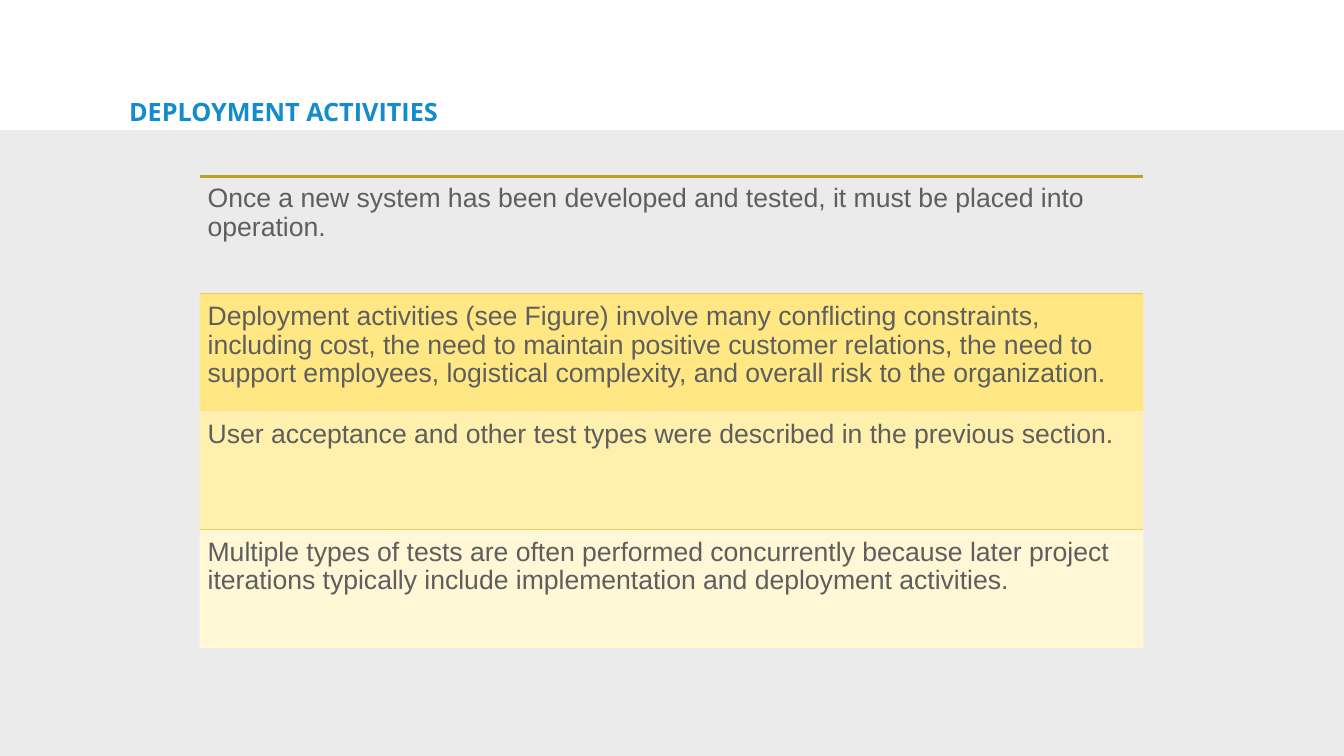
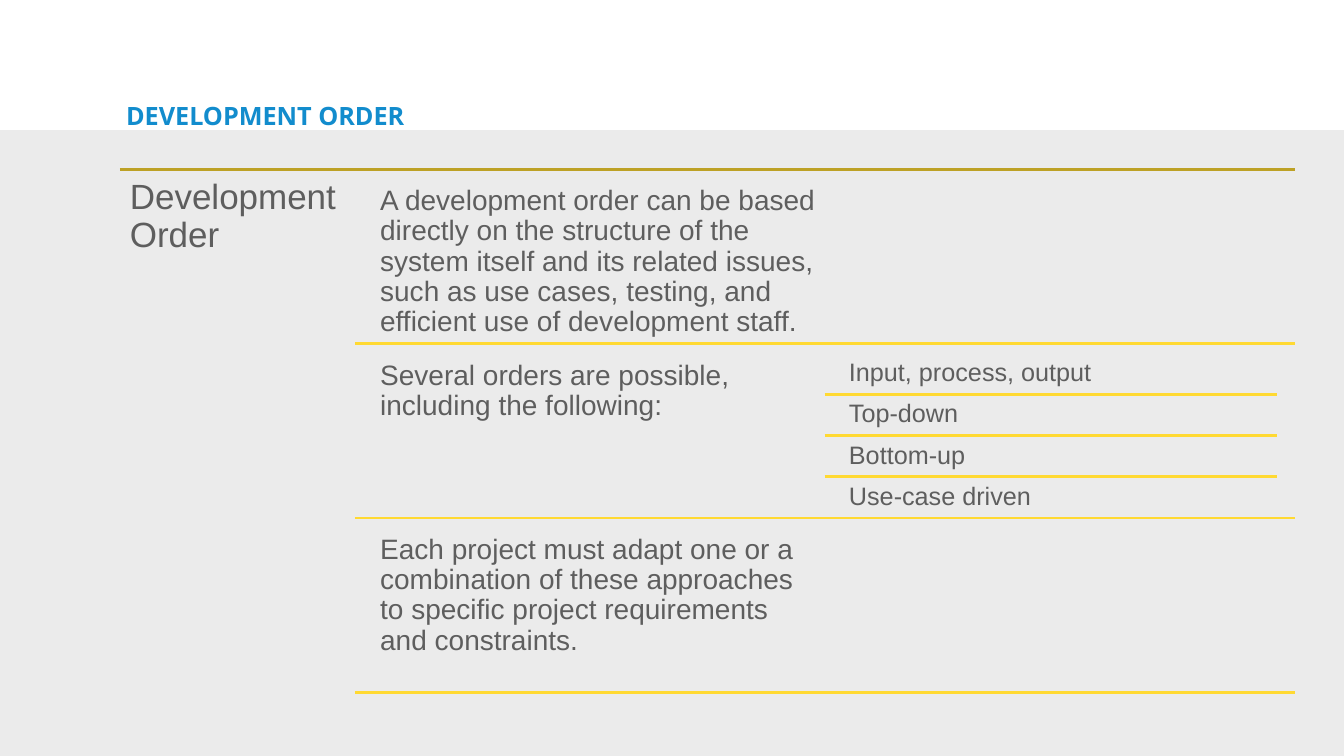
import pptx
import pptx.util
import pptx.dml.color
import pptx.enum.shapes
import pptx.enum.text
import pptx.oxml

Inches = pptx.util.Inches
Pt = pptx.util.Pt
RGBColor = pptx.dml.color.RGBColor

BLUE = RGBColor(0x12, 0x8C, 0xCD)
PALE = RGBColor(0xEB, 0xEB, 0xEB)
GREY = RGBColor(0x5E, 0x5E, 0x5E)
GOLD = RGBColor(0xBD, 0xA1, 0x25)
SAND = RGBColor(0xF0, 0xCE, 0x5E)
CREAM = RGBColor(0xFE, 0xEC, 0xBB)
YELLOW = RGBColor(0xFF, 0xD9, 0x32)

STEPS = [
    ("Once a new system has been developed and tested, it must be placed into operation.",
     GOLD, None),
    ("Deployment activities (see Figure) involve many conflicting constraints, including cost, "
     "the need to maintain positive customer relations, the need to support employees, "
     "logistical complexity, and overall risk to the organization.",
     SAND, RGBColor(0xFF, 0xE8, 0x84)),
    ("User acceptance and other test types were described in the previous section.",
     CREAM, RGBColor(0xFF, 0xF0, 0xAD)),
    ("Multiple types of tests are often performed concurrently because later project "
     "iterations typically include implementation and deployment activities.",
     SAND, RGBColor(0xFF, 0xF7, 0xD6)),
]

TOPIC = "Development Order"
POINTS = [
    ("A development order can be based directly on the structure of the system itself and its "
     "related issues, such as use cases, testing, and efficient use of development staff.", []),
    ("Several orders are possible, including the following:",
     ["Input, process, output", "Top-down", "Bottom-up", "Use-case driven"]),
    ("Each project must adapt one or a combination of these approaches to specific project "
     "requirements and constraints.", []),
]


def add_rect(slide, left, top, width, height, fill=None):
    rect = slide.shapes.add_shape(
        pptx.enum.shapes.MSO_SHAPE.RECTANGLE,
        Inches(left), Inches(top), Inches(width), Inches(height))
    rect.shadow.inherit = False
    rect.line.fill.background()
    if fill is None:
        rect.fill.background()
    else:
        rect.fill.solid()
        rect.fill.fore_color.rgb = fill
    return rect


def set_text(shape, text, size, inset, font="Arial", color=GREY, bold=False, space=0.9):
    frame = shape.text_frame
    frame.text = text
    frame.word_wrap = True
    frame.vertical_anchor = pptx.enum.text.MSO_ANCHOR.TOP
    frame.margin_left = frame.margin_right = Inches(inset)
    frame.margin_top = frame.margin_bottom = Inches(inset)
    para = frame.paragraphs[0]
    para.alignment = pptx.enum.text.PP_ALIGN.LEFT
    para.line_spacing = space
    style = para.runs[0].font
    style.name = font
    style.size = Pt(size)
    style.bold = bold
    style.color.rgb = color


def add_text(slide, text, left, top, width, height, size, inset, **style):
    box = slide.shapes.add_textbox(
        Inches(left), Inches(top), Inches(width), Inches(height))
    set_text(box, text, size, inset, **style)


def add_rule(slide, left, right, top, color=YELLOW):
    rule = slide.shapes.add_connector(
        pptx.enum.shapes.MSO_CONNECTOR.STRAIGHT,
        Inches(left), Inches(top), Inches(right), Inches(top))
    rule.line.color.rgb = color
    rule.line.width = Pt(2)
    props = rule._element.spPr
    props.append(pptx.oxml.parse_xml(
        '<a:effectLst xmlns:a="http://schemas.openxmlformats.org/drawingml/2006/main"/>'))


def add_slide(deck, title, left, top):
    slide = deck.slides.add_slide(deck.slide_layouts[6])
    add_rect(slide, 0, 1.29, 13.33, 6.21, PALE)
    add_text(slide, title, left, top, 8.05, 0.4, 18, 0.06,
             font="Open Sans", color=BLUE, bold=True, space=1.15)
    return slide


def build_steps(deck):
    slide = add_slide(deck, "DEPLOYMENT ACTIVITIES", 1.22, 0.85)
    left, top, width, pitch = 1.98, 1.75, 9.36, 1.17
    for row, (text, color, fill) in enumerate(STEPS):
        y = top + row * pitch
        add_rule(slide, left, left + width, y, color)
        set_text(add_rect(slide, left, y, width, pitch, fill), text, 19, 0.08)


def build_order(deck):
    slide = add_slide(deck, "DEVELOPMENT ORDER", 1.19, 0.89)
    left, right, top = 1.19, 12.84, 1.68
    pitch, pad, indent = 1.73, 0.09, 0.17
    width, step = 4.49, 0.41
    main, sub = 3.52, 8.18
    add_rule(slide, left, right, top, GOLD)
    add_text(slide, TOPIC, left, top, main - left, 5.27, 25, 0.1)
    for row, (text, items) in enumerate(POINTS):
        y = top + row * pitch
        add_text(slide, text, main + indent, y + pad, width, pitch - pad, 20, 0.08)
        for index, item in enumerate(items):
            level = y + pad + index * step
            if index:
                add_rule(slide, sub, sub + width, level)
            add_text(slide, item, sub + indent, level, width, step, 18, 0.07)
        add_rule(slide, main, right, y + pitch)


def main():
    deck = pptx.Presentation()
    deck.slide_width = Inches(13.33)
    deck.slide_height = Inches(7.5)
    build_steps(deck)
    build_order(deck)
    deck.save("out.pptx")


if __name__ == "__main__":
    main()
